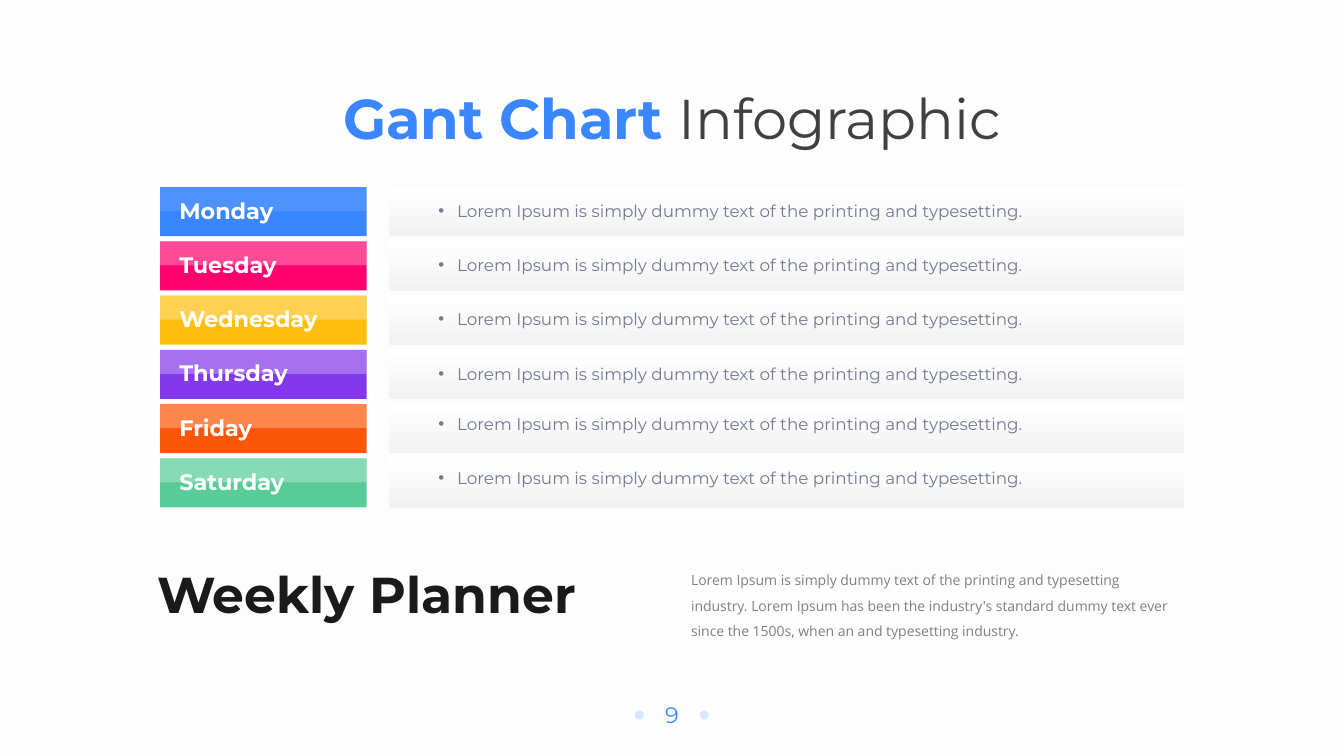
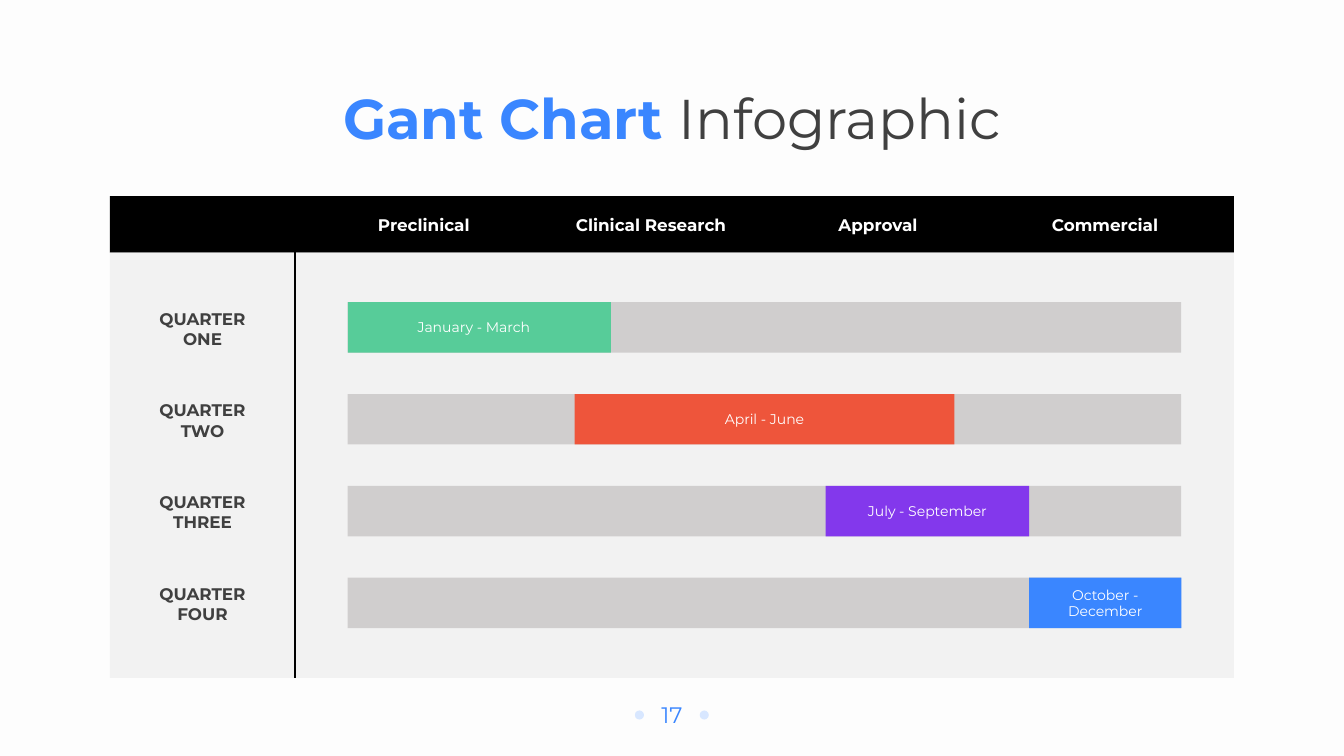
from lxml.etree import SubElement
from pptx import Presentation
from pptx.dml.color import RGBColor
from pptx.enum.shapes import MSO_CONNECTOR as Connector, MSO_SHAPE as Preset
from pptx.enum.text import MSO_ANCHOR as Anchor, PP_ALIGN as Align
from pptx.oxml.ns import qn
from pptx.util import Pt

BLUE, GREEN, PURPLE = "3A86FF", "57CC99", "8338EC"
WHITE, BLACK, PALE, DARK = "FFFFFF", "000000", "F2F2F2", "404040"
DEFAULT_INSETS = (7.2, 3.6, 7.2, 3.6)
NO_INSETS = (0, 0, 0, 0)
STYLES = {
    "title": ({"size": Pt(40), "bold": True}, BLUE),
    "title_light": ({"size": Pt(40)}, DARK),
    "page": ({"size": Pt(16)}, BLUE),
    "day": ({"size": Pt(16), "bold": True}, WHITE),
    "task": ({"size": Pt(12)}, "747A94"),
    "heading": ({"size": Pt(36), "bold": True}, "1A1A1A"),
    "body": ({"size": Pt(10), "name": "Open Sans"}, "808080"),
    "quarter": ({"size": Pt(12), "bold": True}, DARK),
    "phase": ({"size": Pt(12), "bold": True}, WHITE),
    "period": ({"size": Pt(10)}, WHITE),
}
DAYS = [
    ("Monday", BLUE, 10, 6),
    ("Tuesday", "FF006E", 29, 6),
    ("Wednesday", "FFBE0B", 29, 6),
    ("Thursday", PURPLE, 29, 6),
    ("Friday", "FB5607", 29, 3.5),
    ("Saturday", GREEN, 29, 3),
]
PHASES = ["Preclinical", "Clinical Research", "Approval", "Commercial"]
QUARTERS = [
    ("QUARTER ONE", "January - March", GREEN, 248.4, 187.9, 18),
    ("QUARTER TWO", "April - June", "EE553B", 410.4, 271.4, 10),
    ("QUARTER THREE", "July - September", PURPLE, 589.7, 145.4, 10),
    ("QUARTER FOUR", "October - December", BLUE, 735.1, 108.7, 10),
]


def rgb(value):
    return RGBColor.from_string(value)


class Deck:
    """Hold the presentation style and draw elements on the current slide."""

    def __init__(self):
        self.presentation = Presentation()
        self.presentation.slide_width = Pt(960)
        self.presentation.slide_height = Pt(540)
        fill = self.presentation.slide_master.background.fill
        fill.solid()
        fill.fore_color.rgb = rgb("FDFDFD")

    def new_slide(self, number):
        layout = self.presentation.slide_layouts[6]
        self.slide = self.presentation.slides.add_slide(layout)
        self.text((234, 56.2, 492, 55.4), [("Gant Chart ", "title"), ("Infographic", "title_light")],
                  alignment=Align.CENTER)
        self.text((457.7, 497.5, 44.6, 26.6), [(str(number), "page")], alignment=Align.CENTER)
        for left in (453.5, 499.8):
            self.shape((left, 507.5, 6.5, 6.5), "D8E7FF", preset=Preset.OVAL)

    def shape(self, box, colour, alpha=None, preset=Preset.RECTANGLE):
        shape = self.slide.shapes.add_shape(preset, *map(Pt, box))
        shape.shadow.inherit = False
        shape.line.fill.background()
        shape.fill.solid()
        shape.fill.fore_color.rgb = rgb(colour)
        if alpha is not None:
            element = shape._element.spPr.find(qn("a:solidFill"))[0]
            SubElement(element, qn("a:alpha"), val=str(alpha * 1000))
        return shape

    def gradient(self, box, *colours):
        fill = self.shape(box, colours[0]).fill
        fill.gradient()
        fill.gradient_angle = 90
        for stop, colour in zip(fill.gradient_stops, colours):
            stop.color.rgb = rgb(colour)

    def text(self, box, runs, insets=DEFAULT_INSETS, anchor=Anchor.TOP, bullet=None, **formats):
        shape = self.slide.shapes.add_textbox(*map(Pt, box))
        self.fill_text(shape, runs, insets, anchor, bullet, **formats)

    def fill_text(self, shape, runs, insets, anchor, bullet=None, **formats):
        frame = shape.text_frame
        sides = ("margin_left", "margin_top", "margin_right", "margin_bottom")
        settings = {"word_wrap": True, "vertical_anchor": anchor, **dict(zip(sides, map(Pt, insets)))}
        for name, value in settings.items():
            setattr(frame, name, value)
        paragraph = frame.paragraphs[0]
        if bullet:
            properties = paragraph._p.get_or_add_pPr()
            properties.set("marL", str(Pt(13.5)))
            properties.set("indent", str(-Pt(13.5)))
            SubElement(properties, qn("a:buFont"), typeface="Arial")
            SubElement(properties, qn("a:buChar"), char=bullet)
        for name, value in formats.items():
            setattr(paragraph, name, value)
        for content, style in runs:
            run = paragraph.add_run()
            run.text = content
            values, colour = STYLES[style]
            for name, value in {"name": "Montserrat", **values}.items():
                setattr(run.font, name, value)
            run.font.color.rgb = rgb(colour)

    def line(self, start, end, colour, width):
        connector = self.slide.shapes.add_connector(Connector.STRAIGHT, *map(Pt, start + end))
        connector.line.color.rgb = rgb(colour)
        connector.line.width = Pt(width)
        SubElement(connector._element.spPr, qn("a:effectLst"))


def weekly_planner(deck):
    deck.new_slide(9)
    for index, (day, colour, gloss, offset) in enumerate(DAYS):
        top = 133.7 + index * 38.75
        deck.shape((114.3, top, 147.6, 34.9), colour)
        deck.shape((114.3, top, 147.6, 17.2), WHITE, gloss)
        deck.text((121, top + 3.3, 135, 26.6), [(day, "day")])
        deck.gradient((277.9, top, 568.1, 35.2), PALE, WHITE)
        deck.text((306, top + offset, 502.6, 21.6),
                  [("Lorem Ipsum is simply dummy text of the printing and typesetting.", "task")],
                  bullet="•")
    deck.text((105.1, 409, 339.8, 40.3), [("Weekly Planner", "heading")],
              anchor=Anchor.BOTTOM, line_spacing=0.9)
    deck.text((486.5, 398.9, 359.3, 59.8),
              [("Lorem Ipsum is simply dummy text of the printing and typesetting industry. "
                "Lorem Ipsum has been the industry's standard dummy text ever since the 1500s, "
                "when an and typesetting industry.", "body")], line_spacing=1.5)


def quarter_schedule(deck):
    deck.new_slide(17)
    deck.shape((78.5, 140.2, 802.8, 40.3), BLACK)
    deck.shape((78.5, 180.5, 802.8, 303.8), PALE)
    deck.line((210.8, 140.2), (210.8, 484.2), BLACK, 1.5)
    for index, phase in enumerate(PHASES):
        deck.text((248.4 + index * 162.2, 153.4, 108.7, 14.4), [(phase, "phase")],
                  NO_INSETS, alignment=Align.CENTER)
    for index, (quarter, period, colour, left, width, right_inset) in enumerate(QUARTERS):
        top = 215.9 + index * 65.6
        deck.text((105.1, top + 4.3, 79.2, 28.8), [(quarter, "quarter")],
                  NO_INSETS, alignment=Align.CENTER)
        deck.shape((248.4, top, 595.4, 36), "D0CECE")
        bar = deck.shape((left, top, width, 36), colour)
        deck.fill_text(bar, [(period, "period")], (10, 0, right_inset, 0),
                       Anchor.MIDDLE, alignment=Align.CENTER)


def main():
    deck = Deck()
    weekly_planner(deck)
    quarter_schedule(deck)
    deck.presentation.save("out.pptx")


if __name__ == "__main__":
    main()
